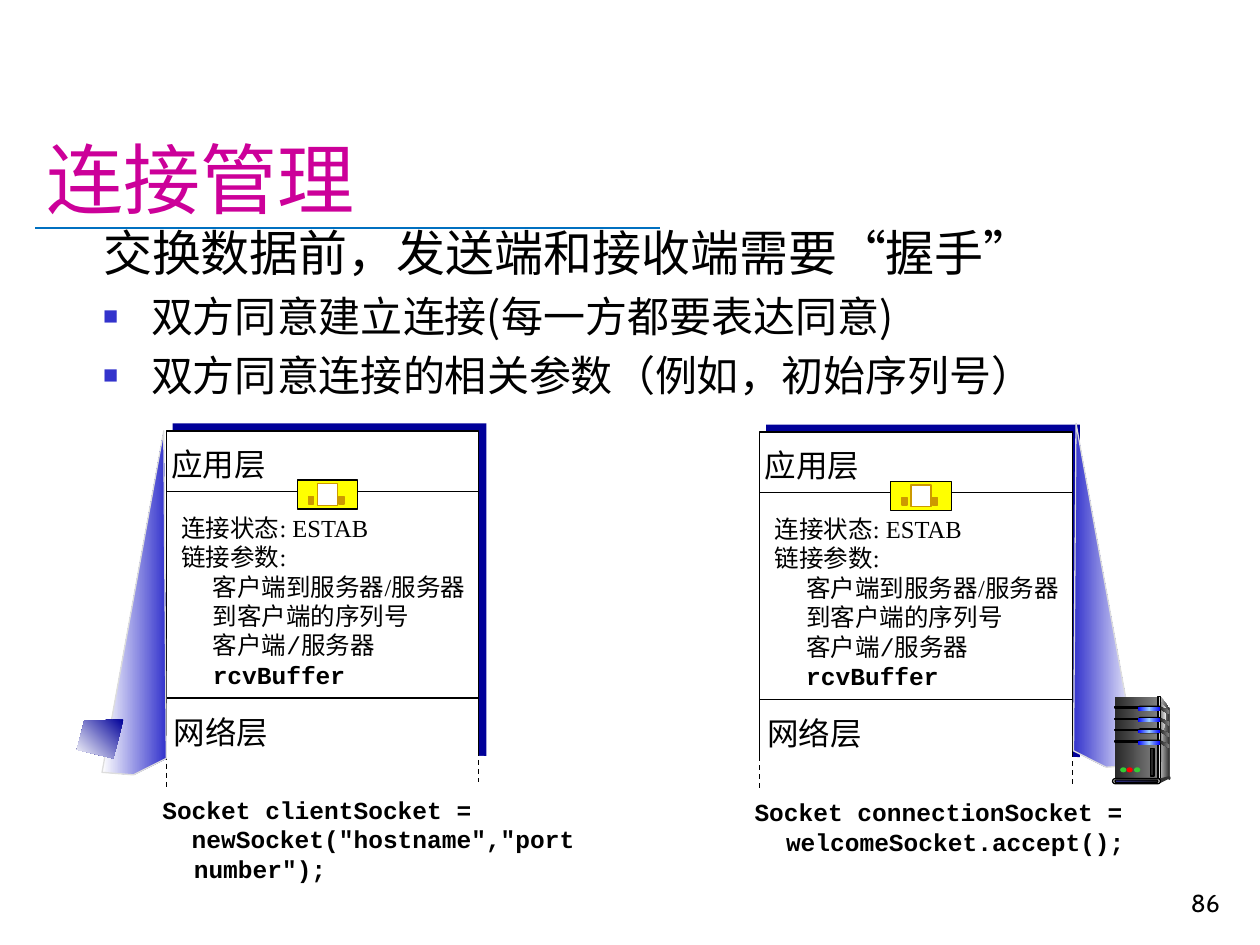
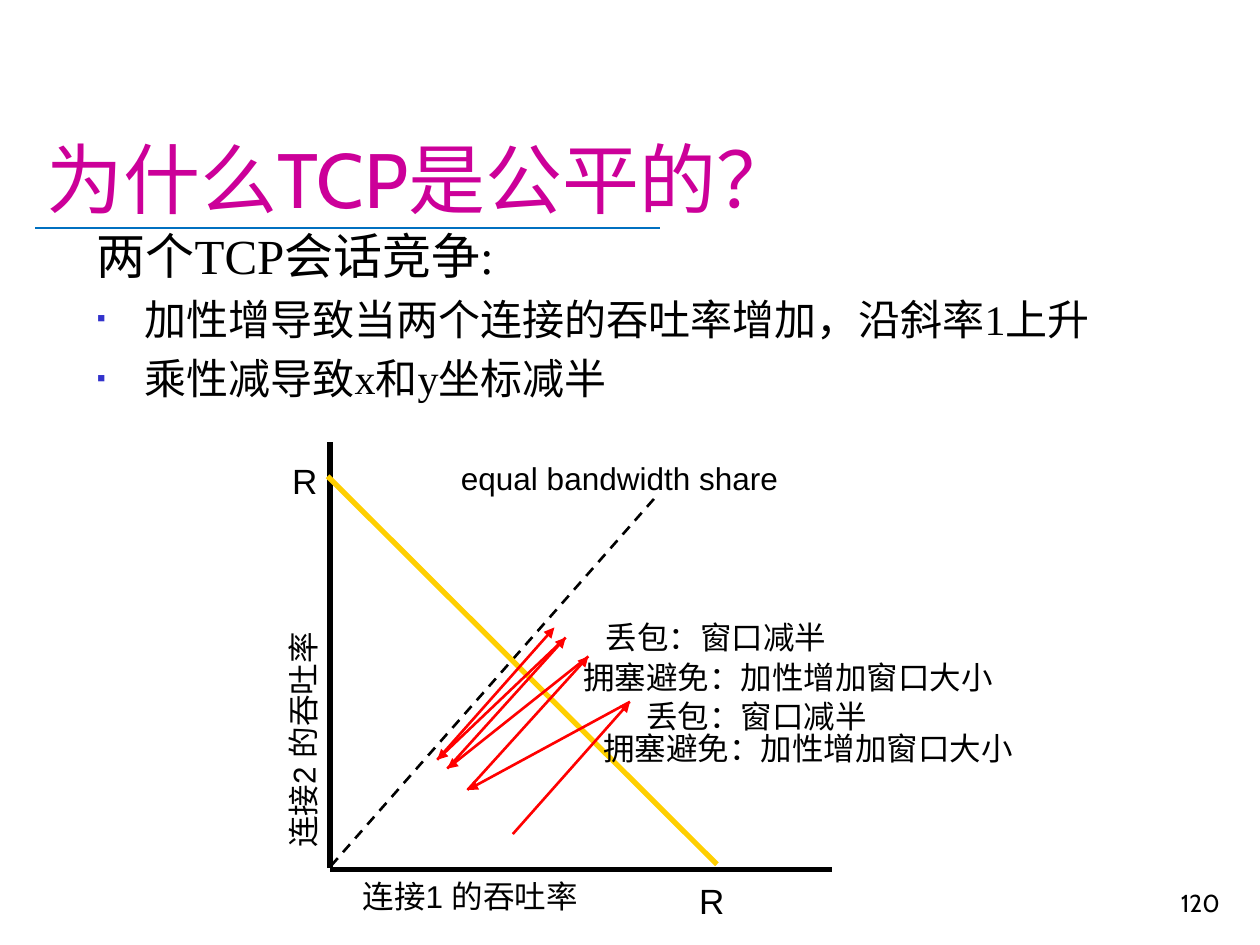
import itertools
import pptx
import pptx.dml.color
import pptx.enum.dml
import pptx.enum.shapes
import pptx.enum.text
import pptx.oxml
import pptx.oxml.ns
import pptx.util
from lxml import etree

deck = pptx.Presentation()
deck.slide_width = pptx.util.Inches(10)
deck.slide_height = pptx.util.Inches(7.5)
unit = deck.slide_width / 10  # square grid: 10 columns by 7.5 rows

HUES = {
    "ink": "000000", "white": "FFFFFF", "title": "CC0099", "rule": "0070C0",
    "navy": "000099", "blue": "3333CC", "yellow": "FFFF00", "gold": "CC9900",
    "amber": "FFCF01", "red": "FF0000", "green": "33CC33", "pale": "DDDDDD",
    "coal": "292929", "dark": "333333", "gray": "808080", "snow": "F8F8F8",
    "neon": "0000FF", "sky": "99CCFF", "night": "333399", "soot": "1C1C1C",
}
HEAD, SERIF, SANS, MONO, HAN = (
    "Cabin", "Times New Roman", "Arial", "Courier New", "Noto Sans CJK SC")
KINDS = {
    "rect": pptx.enum.shapes.MSO_SHAPE.RECTANGLE,
    "round": pptx.enum.shapes.MSO_SHAPE.ROUNDED_RECTANGLE,
    "oval": pptx.enum.shapes.MSO_SHAPE.OVAL,
}
LEFT, RIGHT = pptx.enum.text.PP_ALIGN.LEFT, pptx.enum.text.PP_ALIGN.RIGHT
TOP, LOW = pptx.enum.text.MSO_ANCHOR.TOP, pptx.enum.text.MSO_ANCHOR.BOTTOM
qn = pptx.oxml.ns.qn


def draw(page, kind, place, fill=None, line=None, width=0.75, dash=False, tip=False, angle=0):
    """Draw a line, a preset shape or a polygon; a tuple as fill is a gradient."""
    if kind == "line":
        ends = [round(v * unit) for v in place]
        item = page.shapes.add_connector(pptx.enum.shapes.MSO_CONNECTOR.STRAIGHT, *ends)
    else:
        if kind == "free":
            dots = [(x * unit, y * unit) for x, y in place]
            path = page.shapes.build_freeform(*dots[0], scale=1.0)
            path.add_line_segments(dots[1:], close=True)
            item = path.convert_to_shape()
        else:
            item = page.shapes.add_shape(KINDS[kind], *[round(v * unit) for v in place])
            if kind == "round":
                item.adjustments[0] = 0.5
        item.shadow.inherit = False
        if isinstance(fill, tuple):
            item.fill.gradient()
            item.fill.gradient_angle = angle
            stops = item._element.spPr.find(qn("a:gradFill")).find(qn("a:gsLst"))
            for old in list(stops):
                stops.remove(old)
            for num, hue in enumerate(fill):
                stop = etree.SubElement(stops, qn("a:gs"), pos=str(100000 * num // (len(fill) - 1)))
                etree.SubElement(stop, qn("a:srgbClr"), val=HUES[hue])
        else:
            item.fill.solid()
            item.fill.fore_color.rgb = pptx.dml.color.RGBColor.from_string(HUES[fill])
    if line:
        item.line.color.rgb = pptx.dml.color.RGBColor.from_string(HUES[line])
        item.line.width = pptx.util.Pt(width)
    else:
        item.line.fill.background()
    if dash:
        item.line.dash_style = pptx.enum.dml.MSO_LINE.DASH
    props = item._element.spPr
    if tip:
        etree.SubElement(props.find(qn("a:ln")), qn("a:tailEnd"), type="triangle")
    if kind == "line":
        etree.SubElement(props, qn("a:effectLst"))


def write(page, place, paras, hue="ink", align=LEFT, anchor=TOP, turn=0):
    """Each paragraph is (size, left indent, first indent, bullet, runs)."""
    box = page.shapes.add_textbox(*[round(v * unit) for v in place])
    box.rotation = turn
    frame = box.text_frame
    frame.word_wrap = True
    frame.vertical_anchor = anchor
    for num, (size, left, first, mark, runs) in enumerate(paras):
        para = frame.paragraphs[0] if num == 0 else frame.add_paragraph()
        props = para._p.get_or_add_pPr()
        props.set("marL", str(round(left * unit)))
        props.set("indent", str(round(first * unit)))
        if mark:
            tint = etree.SubElement(props, qn("a:buClr"))
            etree.SubElement(tint, qn("a:srgbClr"), val=HUES["blue"])
            etree.SubElement(props, qn("a:buSzPct"), val="60000")
            etree.SubElement(props, qn("a:buFont"), typeface=SANS)
            etree.SubElement(props, qn("a:buChar"), char=mark)
            para.space_before = pptx.util.Pt(5)
        para.alignment = align
        for text, face, bold in runs:
            run = para.add_run()
            run.text = text
            run.font.size = pptx.util.Pt(size)
            run.font.name = face
            run.font.bold = bold
            run.font.color.rgb = pptx.dml.color.RGBColor.from_string(HUES[hue])
            etree.SubElement(run._r.get_or_add_rPr(), qn("a:ea"), typeface=HAN)


# Shared frame: rule, title, number and opening text
PAGES = [
    ("连接管理", "86", (0.72, 1.72, 9.12, 2.39), HAN, "■",
     ["交换数据前，发送端和接收端需要“握手”",
      "双方同意建立连接(每一方都要表达同意)",
      "双方同意连接的相关参数（例如，初始序列号）"]),
    ("为什么TCP是公平的？", "120", (0.67, 1.74, 9.08, 5.08), SERIF, "▪",
     ["两个TCP会话竞争:",
      "加性增导致当两个连接的吞吐率增加，沿斜率1上升",
      "乘性减导致x和y坐标减半"]),
]
pages = []
for title, count, place, face, mark, lines in PAGES:
    page = deck.slides.add_slide(deck.slide_layouts[6])
    draw(page, "line", (0.28, 1.81, 5.24, 1.81), line="rule", width=1.25)
    write(page, (0.27, 0.23, 9.51, 1.6), [(44, 0, 0, "", [(title, HEAD, False)])],
          hue="title", anchor=LOW)
    write(page, (7.7, 6.83, 2.08, 0.5), [(14, 0, 0, "", [(count, HEAD, False)])],
          align=RIGHT, anchor=LOW)
    write(page, place, [(24 if num else 28, 0.38, -0.38, mark if num else "", [(text, face, False)])
                        for num, text in enumerate(lines)])
    pages.append(page)
page, chart = pages

# Protocol stacks of the two hosts
STATE = [
    (14, 0, 0, "", [("连接状态: ESTAB", SERIF, False)]),
    (14, 0, 0, "", [("链接参数:", SERIF, False)]),
    (14, 0.25, 0, "", [("客户端到服务器/服务器到客户端的序列号", SERIF, False)]),
    (14, 0.25, 0, "", [("客户端/服务器", MONO, False), ("rcvBuffer", MONO, True)]),
]
for x, y in ((1.32, 3.42), (6.03, 3.43)):
    draw(page, "rect", (x + 0.05, y - 0.06, 2.49, 2.64), "navy")
    draw(page, "rect", (x, y, 2.48, 2.7), "white", "ink")
    for drop in (0.48, 2.12):
        draw(page, "line", (x, y + drop, x + 2.48, y + drop), line="ink")
    write(page, (x + 0.02, y + 0.6, 2.55, 1.75), STATE)
    # Socket on the layer border
    draw(page, "rect", (x + 1.04, y + 0.39, 0.48, 0.23), "yellow", "ink")
    draw(page, "rect", (x + 1.2, y + 0.42, 0.16, 0.17), "white", "gold")
    for step in (1.13, 1.37):
        draw(page, "rect", (x + step, y + 0.52, 0.04, 0.06), "gold", "gold")
    for text, dx, dy in (("应用层", -0.06, 0.06), ("网络层", -0.04, 2.19)):
        write(page, (x + dx, y + dy, 1.2, 0.4), [(18, 0, 0, "", [(text, SERIF, False)])])
    # Open lower end
    draw(page, "rect", (x - 0.03, y + 2.58, 2.55, 0.2), "white")
    draw(page, "line", (x, y + 2.57, x, y + 2.83), line="ink", dash=True)
    draw(page, "line", (x + 2.48, y + 2.54, x + 2.48, y + 2.79), line="ink", dash=True)

# Beams from the hosts to their stacks, the right one mirrored
BEAM = [(0.81, 6.13), (1.3, 3.42), (1.32, 6.02), (1.06, 6.15)]
draw(page, "free", BEAM, ("white", "blue"), "pale")
draw(page, "free", [(9.84 - x, y - 0.06) for x, y in BEAM], ("blue", "white"), "pale")

# Socket calls
write(page, (1.19, 6.26, 3.5, 0.81), [
    (14, 0.25, -0.25, "", [(text, MONO, True)])
    for text in ("Socket clientSocket =", '  newSocket("hostname","port number");')])
write(page, (5.89, 6.28, 3.16, 0.57), [
    (14, 0.25, -0.25, "", [("Socket connectionSocket = welcomeSocket.accept();", MONO, True)])])

# Client screen
draw(page, "free", [(0.98, 5.71), (0.67, 5.72), (0.61, 5.95), (0.9, 6.02)],
     ("navy", "white"), angle=225)

# Server case
draw(page, "free", [(9.21, 5.53), (9.28, 5.62), (9.28, 6.16), (9.19, 6.19)], ("pale", "dark"))
draw(page, "rect", (8.85, 5.53, 0.34, 0.65), ("coal", "gray"))
draw(page, "free", [(9.21, 5.57), (9.26, 5.63), (9.22, 5.9), (9.21, 6.17)], ("gray", "snow"))
draw(page, "rect", (9.19, 5.53, 0.02, 0.65), ("dark", "pale", "dark"), "ink")

# Server bays
for num in range(4):
    y = 5.61 + 0.09 * num
    draw(page, "rect", (8.85, y, 0.19, 0.01), "ink", "ink")
    draw(page, "round", (9.03, y - 0.01, 0.19, 0.04), "ink")
    draw(page, "round", (9.03, y, 0.18, 0.03), ("neon", "sky", "neon"))
    draw(page, "free", [(9.21, y), (9.28, y + 0.03), (9.28, y + 0.06), (9.21, y + 0.02)],
         ("coal", "gray"))

# Server foot, lamps and slot
draw(page, "oval", (9.27, 6.16, 0.02, 0.03), "dark")
draw(page, "free", [(9.2, 6.18), (9.2, 6.22), (9.28, 6.18), (9.28, 6.16)], "dark")
draw(page, "round", (8.83, 6.18, 0.38, 0.04), "pale", "ink")
draw(page, "round", (8.85, 6.19, 0.34, 0.02), ("night", "soot"), "ink")
for x, hue in ((8.89, "green"), (8.94, "red"), (9, "green")):
    draw(page, "oval", (x, 6.09, 0.05, 0.04), hue)
draw(page, "rect", (9.13, 5.94, 0.03, 0.22), "coal", "ink")

# Throughput plot: axes, fair share and full use
draw(chart, "line", (2.62, 6.9, 6.6, 6.9), line="ink", width=3)
draw(chart, "line", (2.62, 6.89, 2.62, 3.51), line="ink", width=3)
draw(chart, "line", (5.19, 3.96, 2.62, 6.88), line="ink", width=1.5, dash=True)
draw(chart, "line", (2.6, 3.78, 5.69, 6.86), line="amber", width=3)

# Window sizes rise and halve in turn
TRACK = [(4.07, 6.62), (5, 5.57), (3.71, 6.27), (4.67, 5.21),
         (3.55, 6.1), (4.49, 5.06), (3.47, 6.03), (4.4, 4.98)]
for start, end in itertools.pairwise(TRACK):
    draw(chart, "line", start + end, line="red", width=1.5, tip=True)

# Plot labels
LABELS = [
    ("R", 20, (2.22, 3.6, 0.44, 0.43), 0),
    ("R", 20, (5.45, 6.93, 0.44, 0.43), 0),
    ("equal bandwidth share", 18, (3.56, 3.59, 3.88, 0.4), 0),
    ("连接1 的吞吐率", 18, (2.78, 6.91, 3.88, 0.4), 0),
    ("连接2 的吞吐率", 18, (0.86, 5.08, 3.09, 0.4), 270),
    ("丢包：窗口减半", 18, (4.71, 4.86, 2.2, 0.4), 0),
    ("拥塞避免：加性增加窗口大小", 18, (4.53, 5.17, 3.98, 0.4), 0),
    ("丢包：窗口减半", 18, (5.03, 5.48, 2.2, 0.4), 0),
    ("拥塞避免：加性增加窗口大小", 18, (4.69, 5.74, 3.9, 0.4), 0),
]
for text, size, place, turn in LABELS:
    write(chart, place, [(size, 0, 0, "", [(text, SANS, False)])], turn=turn)

deck.save("out.pptx")
